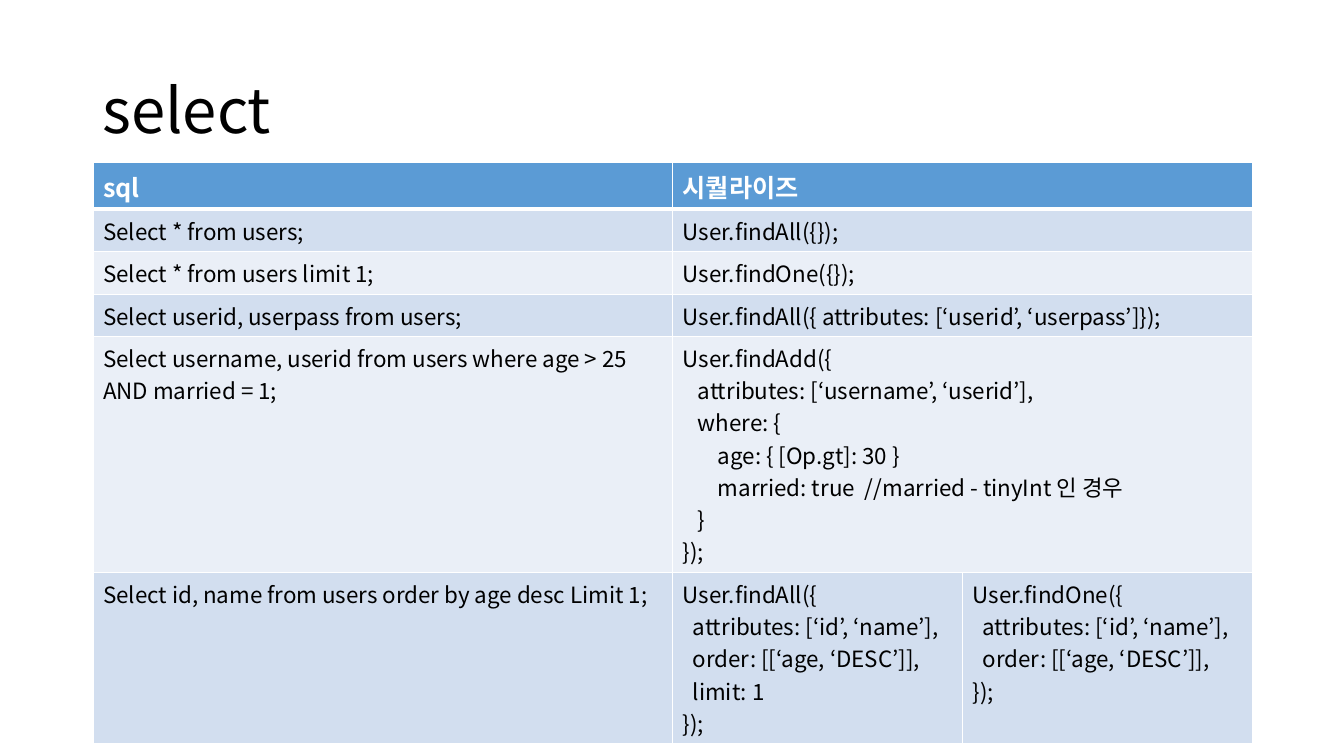
from dataclasses import dataclass

from lxml import etree
from pptx import Presentation
from pptx.dml.color import RGBColor
from pptx.enum.text import MSO_ANCHOR, MSO_AUTO_SIZE, PP_ALIGN
from pptx.oxml.ns import qn
from pptx.util import Pt

FONT = "Noto Sans CJK KR"
WHITE = RGBColor(0xFF, 0xFF, 0xFF)
BLACK = RGBColor(0x00, 0x00, 0x00)
HEADER_BLUE = RGBColor(0x5B, 0x9B, 0xD5)
BANDS = (RGBColor(0xD2, 0xDE, 0xEF), RGBColor(0xEA, 0xEF, 0xF7))
LEFT, MIDDLE, NO_FIT = PP_ALIGN.LEFT, MSO_ANCHOR.MIDDLE, MSO_AUTO_SIZE.NONE

INDENT_UNIT = 3.58  # points per level unit of code indentation
COLUMN_WIDTHS = (414, 207, 207)


@dataclass
class Comparison:
    height: float
    sql: str
    calls: tuple[str, ...]  # one entry spans both right-hand columns


COMPARISONS = [
    Comparison(32, "sql", ("시퀄라이즈",)),
    Comparison(30, "Select * from users;", ("User.findAll({});",)),
    Comparison(30, "Select * from users limit 1;", ("User.findOne({});",)),
    Comparison(30, "Select userid, userpass from users;",
               ("User.findAll({ attributes: [‘userid’, ‘userpass’]});",)),
    Comparison(168, "Select username, userid from users where age > 25 AND married = 1;",
               ("""User.findAdd({
   attributes: [‘username’, ‘userid’],
   where: {
       age: { [Op.gt]: 30 }
       married: true  //married - tinyInt 인 경우
   }
});""",)),
    Comparison(121, "Select id, name from users order by age desc Limit 1;",
               ("""User.findAll({
  attributes: [‘id’, ‘name’],
  order: [[‘age, ‘DESC’]],
  limit: 1
});""", """User.findOne({
  attributes: [‘id’, ‘name’],
  order: [[‘age, ‘DESC’]],
});""")),
]


def write_text(frame, text: str, *, size: float, color: RGBColor = BLACK,
               bold: bool = False, spacing: float = 1.0) -> None:
    """Write one paragraph per line, turning leading spaces into indents."""
    for number, line in enumerate(text.split("\n")):
        paragraph = frame.add_paragraph() if number else frame.paragraphs[0]
        paragraph.alignment = LEFT
        paragraph.line_spacing = spacing
        code = line.lstrip()
        depth = len(line) - len(code)
        if depth:
            properties = paragraph._p.get_or_add_pPr()
            properties.set("marL", str(Pt(depth * INDENT_UNIT)))
            properties.set("indent", "0")
        run = paragraph.add_run()
        run.text = code
        run.font.name = FONT
        run.font.size = Pt(size)
        run.font.bold = bold
        run.font.color.rgb = color
        latin = run._r.get_or_add_rPr().find(qn("a:latin"))
        east_asian = etree.Element(qn("a:ea"), typeface=FONT)
        latin.addnext(east_asian)


def set_borders(cell, *, top: float, bottom: float) -> None:
    """Draw white borders; they come before the fill in the cell's XML."""
    properties = cell._tc.get_or_add_tcPr()
    sides = (("a:lnL", 1), ("a:lnR", 1), ("a:lnT", top), ("a:lnB", bottom))
    for position, (tag, width) in enumerate(sides):
        line = etree.Element(qn(tag), w=str(Pt(width)))
        fill = etree.SubElement(line, qn("a:solidFill"))
        etree.SubElement(fill, qn("a:srgbClr"), val=str(WHITE))
        properties.insert(position, line)


def add_comparison_table(slide, comparisons: list[Comparison]) -> None:
    table = slide.shapes.add_table(
        len(comparisons), len(COLUMN_WIDTHS), Pt(66.5), Pt(116.25),
        Pt(sum(COLUMN_WIDTHS)), Pt(sum(row.height for row in comparisons))).table
    for column, width in zip(table.columns, COLUMN_WIDTHS):
        column.width = Pt(width)

    for row, comparison in enumerate(comparisons):
        header = row == 0
        table.rows[row].height = Pt(comparison.height)
        for column in range(len(COLUMN_WIDTHS)):
            cell = table.cell(row, column)
            cell.fill.solid()
            cell.fill.fore_color.rgb = HEADER_BLUE if header else BANDS[(row - 1) % 2]
            set_borders(cell, top=3 if row == 1 else 1, bottom=3 if header else 1)
        if len(comparison.calls) == 1:
            table.cell(row, 1).merge(table.cell(row, 2))
        for column, text in enumerate((comparison.sql, *comparison.calls)):
            write_text(table.cell(row, column).text_frame, text,
                       size=18 if header else 16,
                       color=WHITE if header else BLACK, bold=header)


presentation = Presentation()
presentation.slide_width, presentation.slide_height = Pt(960), Pt(540)
slide = presentation.slides.add_slide(presentation.slide_layouts[5])

# Title
title = slide.shapes.title
title.left, title.top, title.width, title.height = Pt(66), Pt(28.75), Pt(828), Pt(104.4)
title.text_frame.auto_size = NO_FIT
title.text_frame.vertical_anchor = MIDDLE
write_text(title.text_frame, "select", size=44, spacing=0.9)

# SQL statements beside their ORM calls
add_comparison_table(slide, COMPARISONS)

presentation.save("out.pptx")
